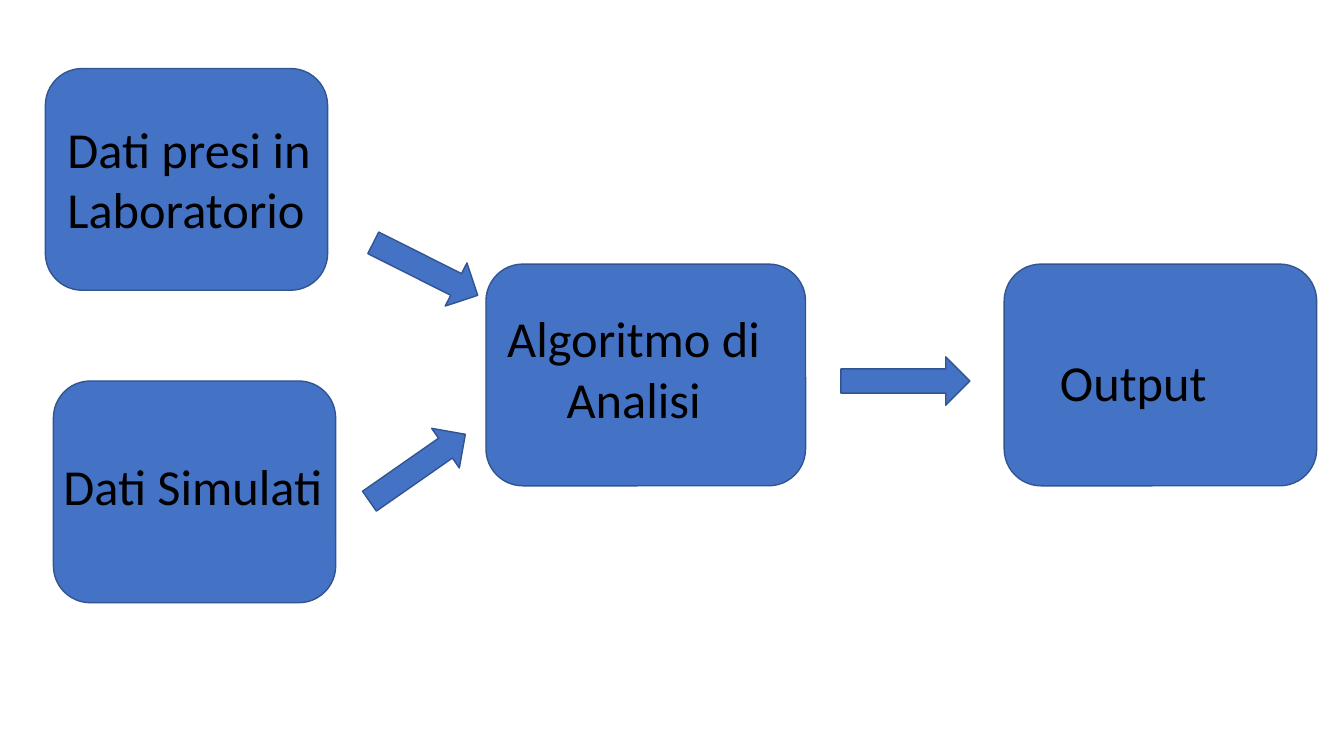
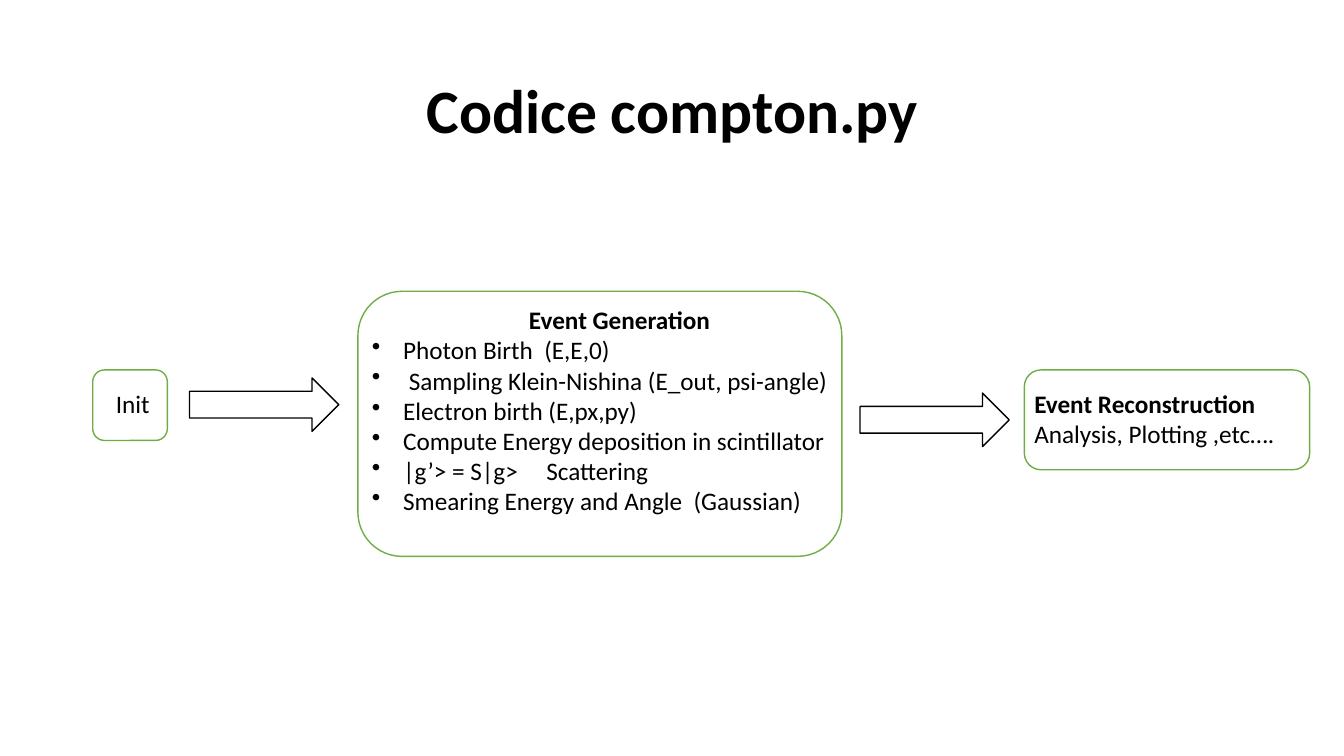
"""Build two flow diagrams: data analysis and event simulation."""
import dataclasses

import lxml.etree
import pptx
import pptx.dml.color
import pptx.enum.shapes
import pptx.enum.text
import pptx.oxml.ns
import pptx.util

Inches = pptx.util.Inches
Pt = pptx.util.Pt
RGBColor = pptx.dml.color.RGBColor
Align = pptx.enum.text.PP_ALIGN
Anchor = pptx.enum.text.MSO_ANCHOR
Shape = pptx.enum.shapes.MSO_SHAPE


@dataclasses.dataclass(frozen=True)
class Theme:
    """Colours, font and type sizes shared by the slides."""
    blue: RGBColor = RGBColor(0x44, 0x72, 0xC4)
    navy: RGBColor = RGBColor(0x32, 0x54, 0x91)
    green: RGBColor = RGBColor(0x70, 0xAD, 0x47)
    white: RGBColor = RGBColor(0xFF, 0xFF, 0xFF)
    black: RGBColor = RGBColor(0, 0, 0)
    font: str = "Calibri"
    title: int = 44
    label: int = 36
    body: int = 18
    indent: float = 0.31


THEME = Theme()


def add_block(slide, kind, left, top, width, height, fill, line, rotation=0):
    """Add a filled and outlined shape without text."""
    shape = slide.shapes.add_shape(
        kind, Inches(left), Inches(top), Inches(width), Inches(height))
    shape.shadow.inherit = False
    shape.fill.solid()
    shape.fill.fore_color.rgb = fill
    shape.line.color.rgb = line
    shape.line.width = Pt(1)
    shape.rotation = rotation


def add_text(slide, left, top, width, height, lines, size,
             align=Align.LEFT, bold_first=False, anchor=Anchor.TOP):
    """Add a wrapped text box and return its paragraphs."""
    box = slide.shapes.add_textbox(
        Inches(left), Inches(top), Inches(width), Inches(height))
    frame = box.text_frame
    frame.word_wrap = True
    frame.vertical_anchor = anchor
    frame.text = "\n".join(lines)
    for index, paragraph in enumerate(frame.paragraphs):
        paragraph.alignment = align
        paragraph.font.name = THEME.font
        paragraph.font.size = Pt(size)
        paragraph.font.color.rgb = THEME.black
        paragraph.font.bold = bold_first and index == 0
    return frame.paragraphs


def indent_paragraph(paragraph, bullet=None, tab=None):
    """Indent a paragraph, with an optional hanging bullet and tab stop."""
    properties = paragraph._p.get_or_add_pPr()
    properties.set("marL", str(Inches(THEME.indent)))
    properties.set("indent", str(-Inches(THEME.indent) if bullet else 0))
    additions = []
    if bullet:
        additions.append(lxml.etree.Element(
            pptx.oxml.ns.qn("a:buChar"), char=bullet))
    if tab:
        stops = lxml.etree.Element(pptx.oxml.ns.qn("a:tabLst"))
        lxml.etree.SubElement(stops, pptx.oxml.ns.qn("a:tab"),
                              pos=str(Inches(tab)), algn="l")
        additions.append(stops)
    run_defaults = properties.find(pptx.oxml.ns.qn("a:defRPr"))
    for element in additions:
        if run_defaults is None:
            properties.append(element)
        else:
            run_defaults.addprevious(element)


def build_analysis(slide):
    """Draw the flow from laboratory and simulated data to the output."""
    colours = THEME.blue, THEME.navy
    for left, top, width in ((0.45, 0.68, 2.8), (0.53, 3.78, 2.8),
                             (4.82, 2.62, 3.17), (9.96, 2.62, 3.1)):
        add_block(slide, Shape.ROUNDED_RECTANGLE, left, top, width, 2.2, *colours)
    for left, top, width, rotation in ((3.64, 2.43, 1.16, 26.7),
                                       (3.56, 4.4, 1.16, 325.1),
                                       (8.34, 3.54, 1.28, 0)):
        add_block(slide, Shape.RIGHT_ARROW, left, top, width, 0.48, *colours, rotation)
    for left, top, width, height, label, align in (
            (0.57, 1.12, 2.8, 1.31, "Dati presi in Laboratorio", Align.LEFT),
            (0.53, 4.47, 2.82, 0.71, "Dati Simulati", Align.LEFT),
            (4.7, 3, 3.17, 1.31, "Algoritmo di Analisi", Align.CENTER),
            (10.28, 3.43, 1.92, 0.71, "Output", Align.CENTER)):
        add_text(slide, left, top, width, height, [label], THEME.label, align)


def build_simulation(slide):
    """Draw the steps of the simulation code."""
    title, = add_text(slide, 0.92, 0.4, 11.5, 1.45, ["Codice compton.py"],
                      THEME.title, Align.CENTER, True, Anchor.MIDDLE)
    title.line_spacing = 0.9
    for left, top, width, height in ((0.92, 3.67, 0.74, 0.7),
                                     (3.55, 2.89, 4.8, 2.63),
                                     (10.16, 3.67, 2.83, 0.99)):
        add_block(slide, Shape.ROUNDED_RECTANGLE, left, top, width, height,
                  THEME.white, THEME.green)
    for left, top in ((1.88, 3.75), (8.53, 3.9)):
        add_block(slide, Shape.RIGHT_ARROW, left, top, 1.48, 0.53,
                  THEME.white, THEME.black)
    add_text(slide, 1.05, 3.8, 0.74, 0.4, ["Init"], THEME.body)
    heading, *steps = add_text(slide, 3.59, 2.97, 4.8, 2.52, [
        "Event Generation",
        "Photon Birth  (E,E,0)",
        " Sampling Klein-Nishina (E_out, psi-angle)",
        "Electron birth (E,px,py)",
        "Compute Energy deposition in scintillator",
        "|g’> = S|g>\tScattering",
        "Smearing Energy and Angle  (Gaussian)",
    ], THEME.body, bold_first=True)
    heading.alignment = Align.CENTER
    indent_paragraph(heading)
    for step in steps:
        indent_paragraph(step, "•", 1.73 if "\t" in step.text else None)
    add_text(slide, 10.16, 3.8, 2.83, 0.71,
             ["Event Reconstruction", "Analysis, Plotting ,etc…."],
             THEME.body, bold_first=True)


def main():
    """Create and save the presentation."""
    presentation = pptx.Presentation()
    presentation.slide_width = Inches(13.33)
    presentation.slide_height = Inches(7.5)
    for build in (build_analysis, build_simulation):
        build(presentation.slides.add_slide(presentation.slide_layouts[6]))
    presentation.save("out.pptx")


if __name__ == "__main__":
    main()
